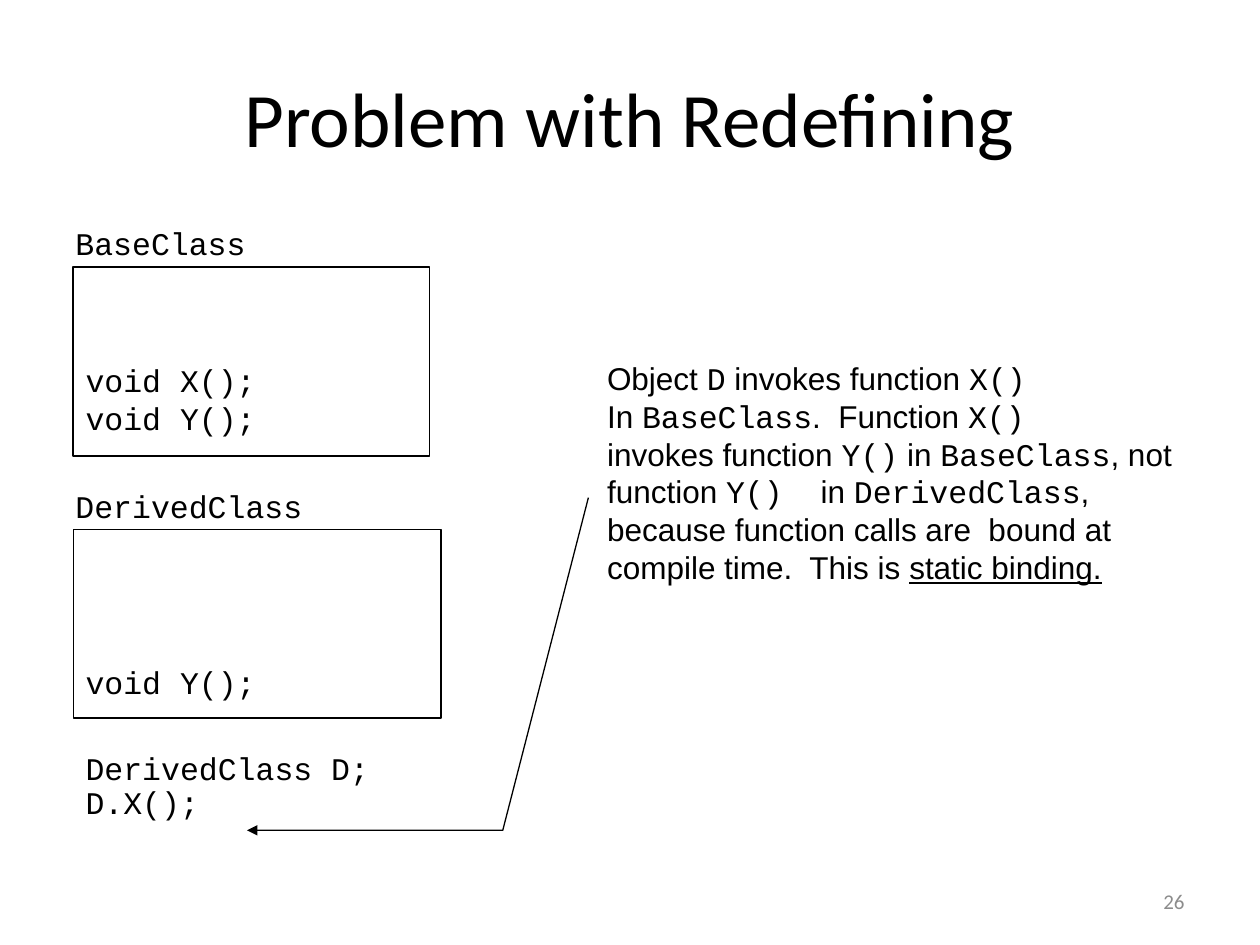
from dataclasses import dataclass

from lxml.etree import SubElement
from pptx import Presentation
from pptx.dml.color import RGBColor
from pptx.enum.shapes import MSO_SHAPE as Shape
from pptx.enum.text import MSO_ANCHOR as Anchor, PP_ALIGN as Align
from pptx.oxml.ns import qn
from pptx.util import Pt

COLORS = {"ink": "000000", "page": "8C8C8C"}
CODE, BODY, HEAD = "Courier New", "Arial", "Calibri"


@dataclass
class Frame:
    left: float
    top: float
    width: float
    height: float

    def points(self) -> tuple:
        return Pt(self.left), Pt(self.top), Pt(self.width), Pt(self.height)


@dataclass
class Label:
    frame: Frame
    lines: list
    font: str = CODE
    size: float = 18
    color: str = "ink"
    align: Align = Align.LEFT
    anchor: Anchor = Anchor.TOP
    space: float = 1.0


def style(font, name: str, size: float, color: str) -> None:
    font.name, font.size = name, Pt(size)
    font.color.rgb = RGBColor.from_string(COLORS[color])


def add_runs(para, line: str) -> None:
    """Backticks enclose code, underscores enclose underlined words."""
    for i, part in enumerate(line.split("`")):
        for j, text in enumerate(part.split("_")):
            if text:
                run = para.add_run()
                run.text = text
                if i % 2:
                    run.font.name = CODE
                if j % 2:
                    run.font.underline = True


def add_label(slide, label: Label) -> None:
    frame = slide.shapes.add_textbox(*label.frame.points()).text_frame
    frame.word_wrap = True
    frame.vertical_anchor = label.anchor
    for i, line in enumerate(label.lines):
        para = frame.paragraphs[0] if i == 0 else frame.add_paragraph()
        para.alignment = label.align
        para.line_spacing = label.space
        style(para.font, label.font, label.size, label.color)
        add_runs(para, line)


def outline(shape) -> None:
    shape.shadow.inherit = False
    shape.fill.background()
    shape.line.color.rgb = RGBColor.from_string(COLORS["ink"])
    shape.line.width = Pt(0.75)


def add_box(slide, frame: Frame) -> None:
    outline(slide.shapes.add_shape(Shape.RECTANGLE, *frame.points()))


def add_arrow(slide, spots: list) -> None:
    start, *rest = [(Pt(x), Pt(y)) for x, y in spots]
    path = slide.shapes.build_freeform(*start)
    path.add_line_segments(rest, close=False)
    arrow = path.convert_to_shape()
    outline(arrow)
    SubElement(arrow.line._get_or_add_ln(), qn("a:tailEnd"), type="triangle")


BOXES = [Frame(41.8, 152.6, 203.8, 108), Frame(41.8, 302.4, 210.2, 108)]

LABELS = [
    # Class names and members
    Label(Frame(36, 124.6, 187, 36), ["BaseClass"]),
    Label(Frame(36, 275, 187, 36), ["DerivedClass"]),
    Label(Frame(41.8, 203, 144, 65), ["void X();", "void Y();"]),
    Label(Frame(41.8, 375.6, 144, 36), ["void Y();"]),
    # Calling code
    Label(Frame(41.8, 427, 230, 59), ["DerivedClass D;", "D.X();"], space=0.9),
    # Explanation
    Label(Frame(339.8, 201.6, 344.2, 138.2), [
        "Object `D` invokes function `X()`",
        "In `BaseClass`.  Function `X()`",
        "invokes function `Y()` in `BaseClass`, not function `Y()  `in "
        "`DerivedClass`,",
        "because function calls are  bound at compile time.  This is "
        "_static binding._",
    ], BODY),
    # Page number
    Label(Frame(516, 500.4, 168, 28.8), ["26"], HEAD, 12, "page",
          Align.RIGHT, Anchor.MIDDLE),
]


def main() -> None:
    deck = Presentation()
    deck.slide_width, deck.slide_height = Pt(720), Pt(540)
    slide = deck.slides.add_slide(deck.slide_layouts[5])

    # Title
    title = slide.shapes.title
    title.left, title.top, title.width, title.height = Frame(
        36, 21.6, 648, 90).points()
    title.text_frame.text = "Problem with Redefining"
    title.text_frame.vertical_anchor = Anchor.MIDDLE
    para = title.text_frame.paragraphs[0]
    para.alignment = Align.CENTER
    style(para.font, HEAD, 44, "ink")

    # Classes and text
    for box in BOXES:
        add_box(slide, box)
    for label in LABELS:
        add_label(slide, label)

    # Arrow from the explanation to the call
    add_arrow(slide, [(336.2, 284.4), (287.3, 474.5), (141.1, 474.5)])

    deck.save("out.pptx")


if __name__ == "__main__":
    main()
